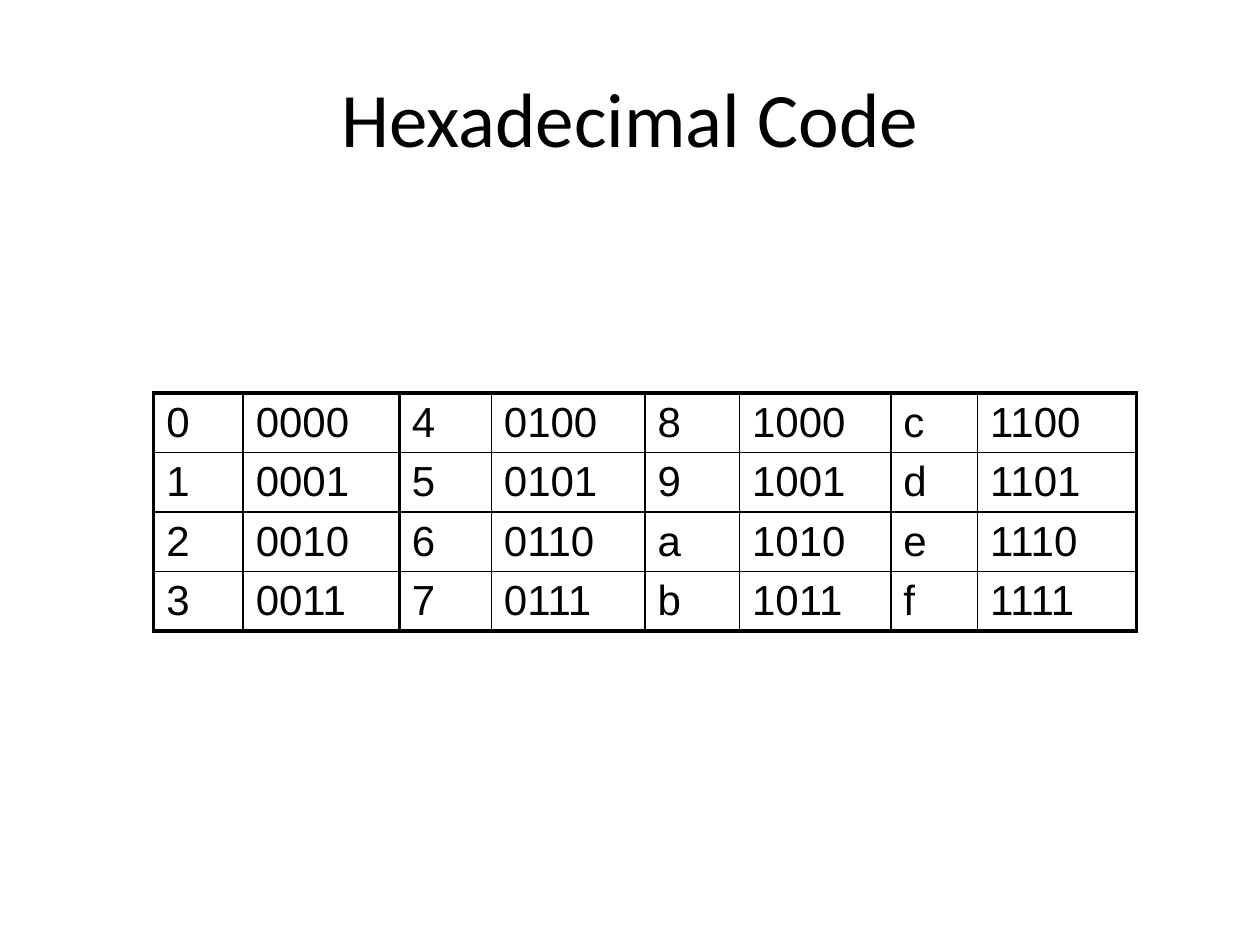
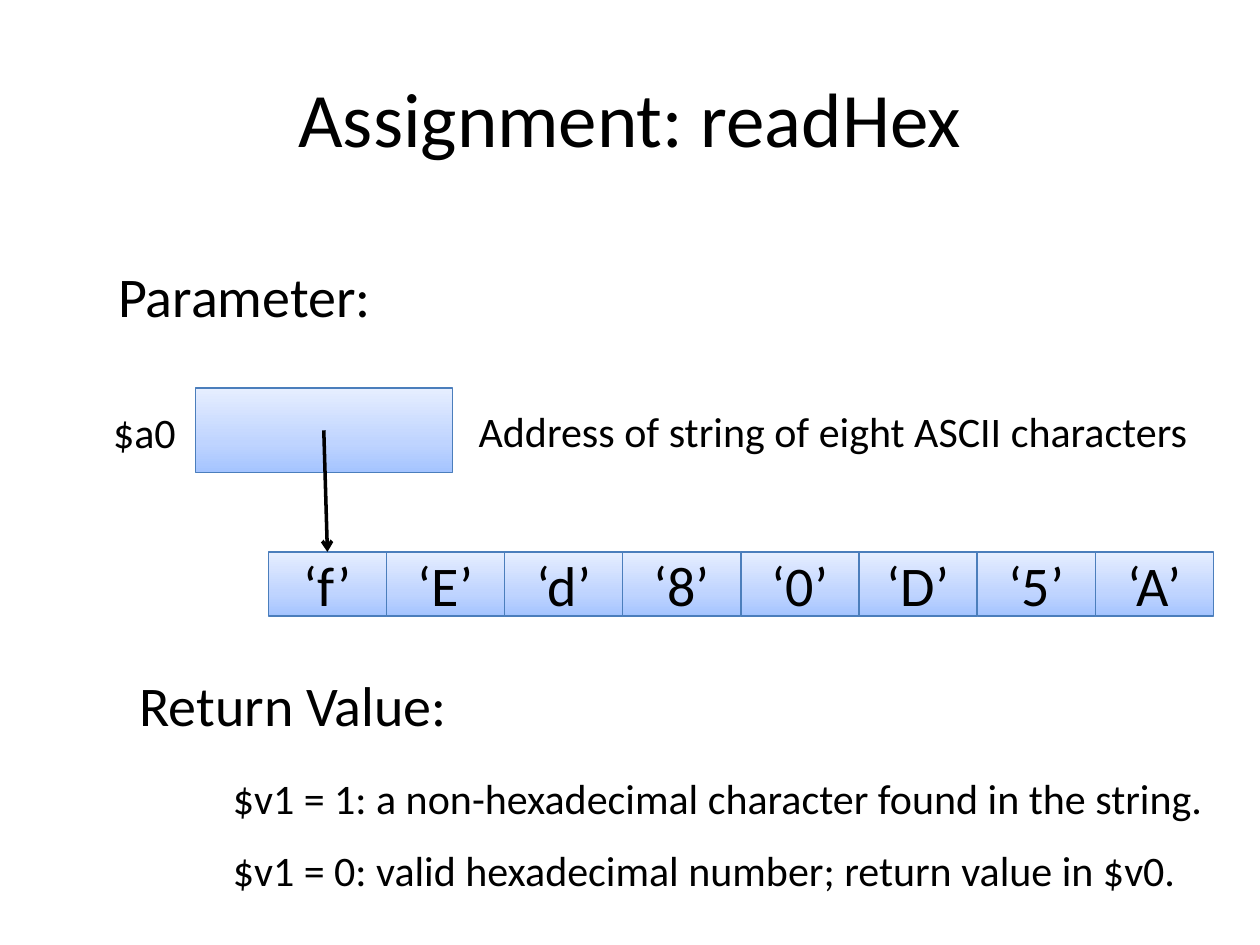
from lxml import etree
from pptx import Presentation
from pptx.dml.color import RGBColor
from pptx.enum.shapes import MSO_CONNECTOR, MSO_SHAPE
from pptx.enum.text import MSO_ANCHOR, MSO_AUTO_SIZE, PP_ALIGN
from pptx.oxml.ns import qn
from pptx.util import Inches, Pt

RECT, LINE = MSO_SHAPE.RECTANGLE, MSO_CONNECTOR.STRAIGHT
MID, TOP = MSO_ANCHOR.MIDDLE, MSO_ANCHOR.TOP
LEFT, CENTER = PP_ALIGN.LEFT, PP_ALIGN.CENTER
FIT, FIXED = MSO_AUTO_SIZE.SHAPE_TO_FIT_TEXT, MSO_AUTO_SIZE.NONE

# Shared look
WIDE, HIGH = 10, 7.5
BLACK, EDGE = "000000", "4B7EBC"
BLEND = [(0, "A4C4FF"), (35, "BFD4FF"), (100, "E6EEFF")]
SANS, GRID_FONT = "Calibri", "Arial"
HEAD, LARGE, BODY = 44, 32, 24
TITLE_BOX = (0.05 * WIDE, 0.04 * HIGH, 0.9 * WIDE, 1.25)

# Hexadecimal Code
CODES = [
    ["0", "0000", "4", "0100", "8", "1000", "c", "1100"],
    ["1", "0001", "5", "0101", "9", "1001", "d", "1101"],
    ["2", "0010", "6", "0110", "a", "1010", "e", "1110"],
    ["3", "0011", "7", "0111", "b", "1011", "f", "1111"],
]
COLS = [0.71, 1.24, 0.73, 1.22, 0.75, 1.2, 0.69, 1.26]
GRID_X, GRID_Y, ROW = 1.22, 3.12, 0.41
THIN, PAIR, OUTER = 1, 1.5, 2.25

# Assignment: readHex
CHARS = ["f", "E", "d", "8", "0", "D", "5", "A"]
STRIP_X, STRIP_Y, STEP, TALL = 2.13, 4.38, 0.9375, 0.51
WORD = (1.55, 3.08, 2.04, 0.67)
NOTES = [
    ("Parameter:", LARGE, 0.84, 2.03, 2.23),
    ("$a0", BODY, 0.8, 3.18, 0.7),
    ("Address of string of eight ASCII characters", BODY, 3.7, 3.17, 5.88),
    ("Return Value:", LARGE, 1.01, 5.27, 2.67),
    ("$v1 = 1: a non-hexadecimal character found in the string.",
     BODY, 1.75, 6.08, 7.97),
    ("$v1 = 0: valid hexadecimal number; return value in $v0.",
     BODY, 1.75, 6.65, 7.76),
]
NOTE_H = {LARGE: 0.64, BODY: 0.5}


def rgb(code):
    return RGBColor.from_string(code)


def inch(*sizes):
    return [Inches(size) for size in sizes]


def write(frame, text, size, font=SANS, align=LEFT, anchor=TOP):
    para = frame.paragraphs[0]
    para.alignment = align
    frame.vertical_anchor = anchor
    run = para.add_run()
    run.text = text
    run.font.size, run.font.name = Pt(size), font
    run.font.color.rgb = rgb(BLACK)


def label(slide, text, size, box, wrap=False, **style):
    frame = slide.shapes.add_textbox(*inch(*box)).text_frame
    frame.word_wrap = wrap
    frame.auto_size = FIXED if wrap else FIT
    write(frame, text, size, **style)


def start(deck, title):
    """Add a blank slide with its title."""
    slide = deck.slides.add_slide(deck.slide_layouts[6])
    label(slide, title, HEAD, TITLE_BOX, wrap=True, align=CENTER, anchor=MID)
    return slide


def solid(parent, color):
    fill = etree.SubElement(parent, qn("a:solidFill"))
    etree.SubElement(fill, qn("a:srgbClr"), val=color)


def border(cell, widths):
    """Draw the left, right, top and bottom edges of a cell."""
    props = cell._tc.get_or_add_tcPr()
    for side, width in zip("LRTB", widths):
        edge = etree.SubElement(props, qn("a:ln" + side), w=str(Pt(width)))
        solid(edge, BLACK)


def grid(slide):
    rows, cols = len(CODES), len(COLS)
    # A heavier rule parts each digit and code pair from the next.
    walls = [THIN if c % 2 else PAIR for c in range(cols + 1)]
    walls[0] = walls[-1] = OUTER
    floors = [OUTER] + [THIN] * (rows - 1) + [OUTER]
    box = inch(GRID_X, GRID_Y, sum(COLS), ROW * rows)
    table = slide.shapes.add_table(rows, cols, *box).table
    table.first_row = table.horz_banding = False
    for col, width in zip(table.columns, COLS):
        col.width = Inches(width)
    for r, codes in enumerate(CODES):
        table.rows[r].height = Inches(ROW)
        for c, code in enumerate(codes):
            cell = table.cell(r, c)
            border(cell, walls[c:c + 2] + floors[r:r + 2])
            cell.fill.background()
            write(cell.text_frame, code, BODY, GRID_FONT)


def block(slide, box):
    """Add a rectangle with the blue blend."""
    shape = slide.shapes.add_shape(RECT, *inch(*box))
    shape.shadow.inherit = False
    shape.line.color.rgb, shape.line.width = rgb(EDGE), Pt(0.75)
    shape.fill.gradient()
    shape.fill.gradient_angle = 90
    stops = shape._element.spPr.find(qn("a:gradFill")).find(qn("a:gsLst"))
    for stop in list(stops):
        stops.remove(stop)
    for share, color in BLEND:
        stop = etree.SubElement(stops, qn("a:gs"), pos=str(share * 1000))
        etree.SubElement(stop, qn("a:srgbClr"), val=color)
    return shape


def arrow(slide, x, y, goal):
    """Point from x, y to the top of the goal."""
    link = slide.shapes.add_connector(LINE, *inch(x, y, x, y))
    link.end_connect(goal, 0)
    link.line.color.rgb, link.line.width = rgb(BLACK), Pt(2)
    etree.SubElement(link.line._get_or_add_ln(), qn("a:tailEnd"), type="arrow")
    etree.SubElement(link._element.spPr, qn("a:effectLst"))


def strip(slide):
    cells = []
    for i, char in enumerate(CHARS):
        cell = block(slide, (STRIP_X + i * STEP, STRIP_Y, STEP, TALL))
        write(cell.text_frame, f"‘{char}’", LARGE, align=CENTER, anchor=MID)
        cells.append(cell)
    return cells


def main():
    deck = Presentation()
    deck.slide_width, deck.slide_height = inch(WIDE, HIGH)

    grid(start(deck, "Hexadecimal Code"))

    slide = start(deck, "Assignment: readHex")
    block(slide, WORD)
    cells = strip(slide)
    x, y, width, height = WORD
    arrow(slide, x + width / 2, y + height / 2, cells[0])
    for text, size, left, top, span in NOTES:
        label(slide, text, size, (left, top, span, NOTE_H[size]))

    deck.save("out.pptx")


if __name__ == "__main__":
    main()
